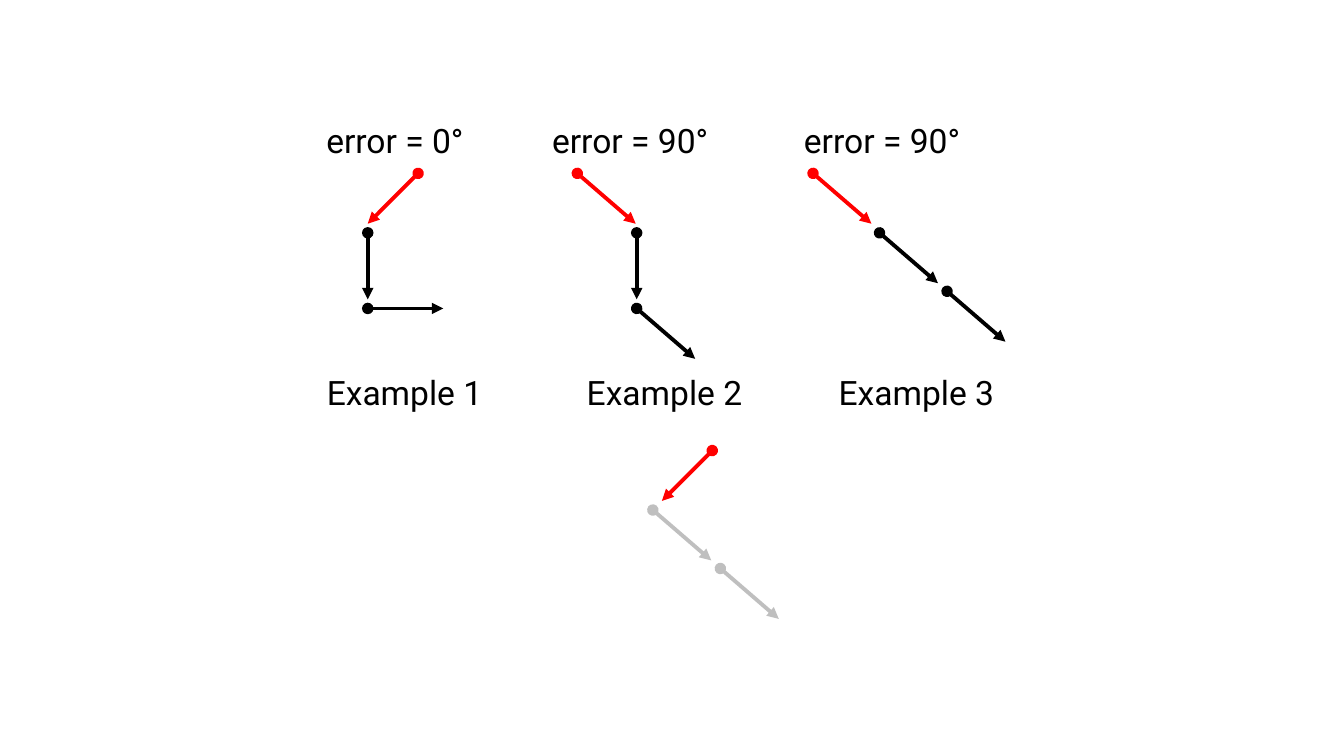
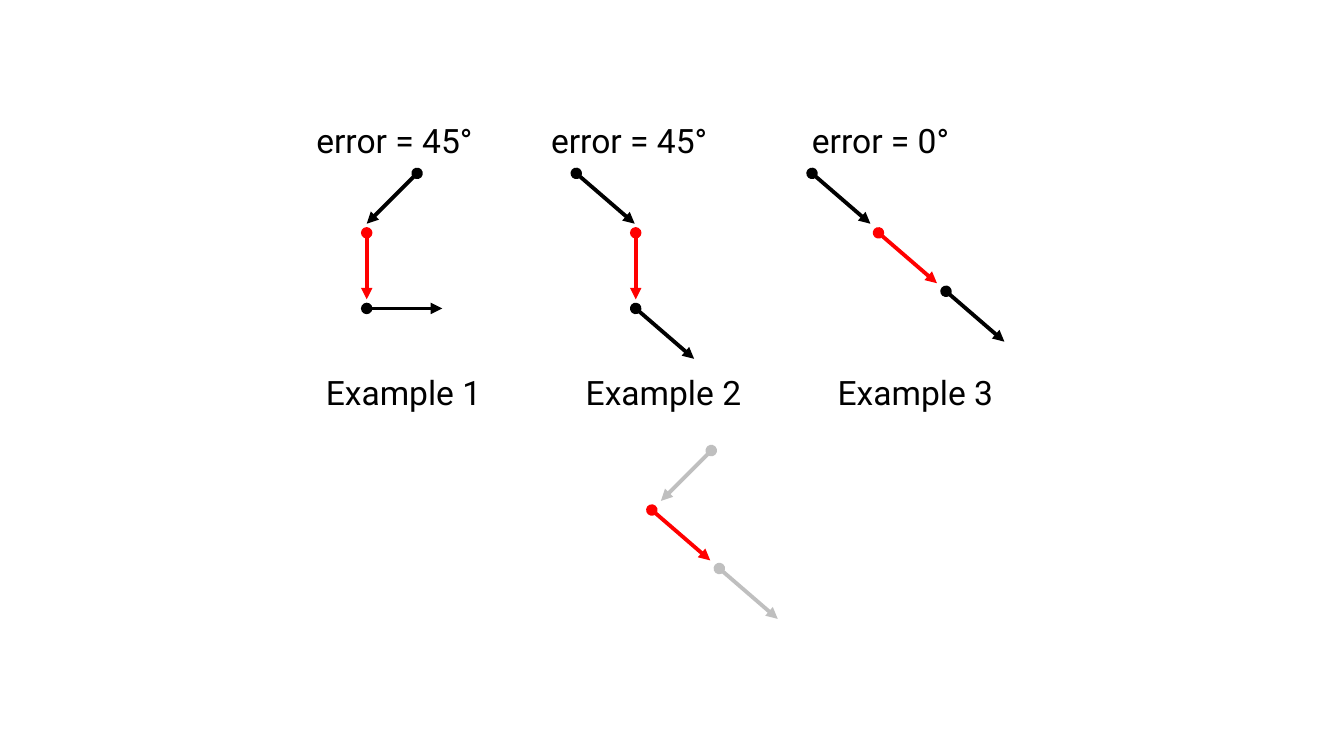
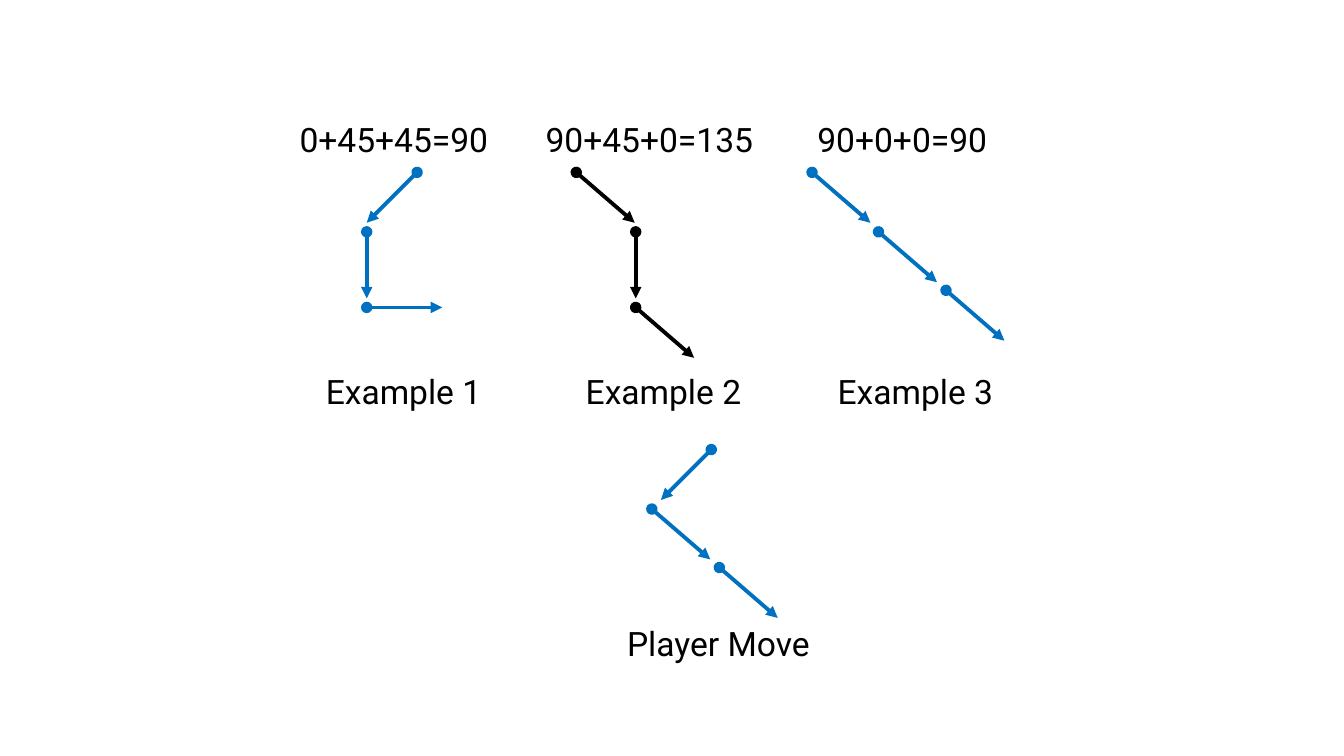
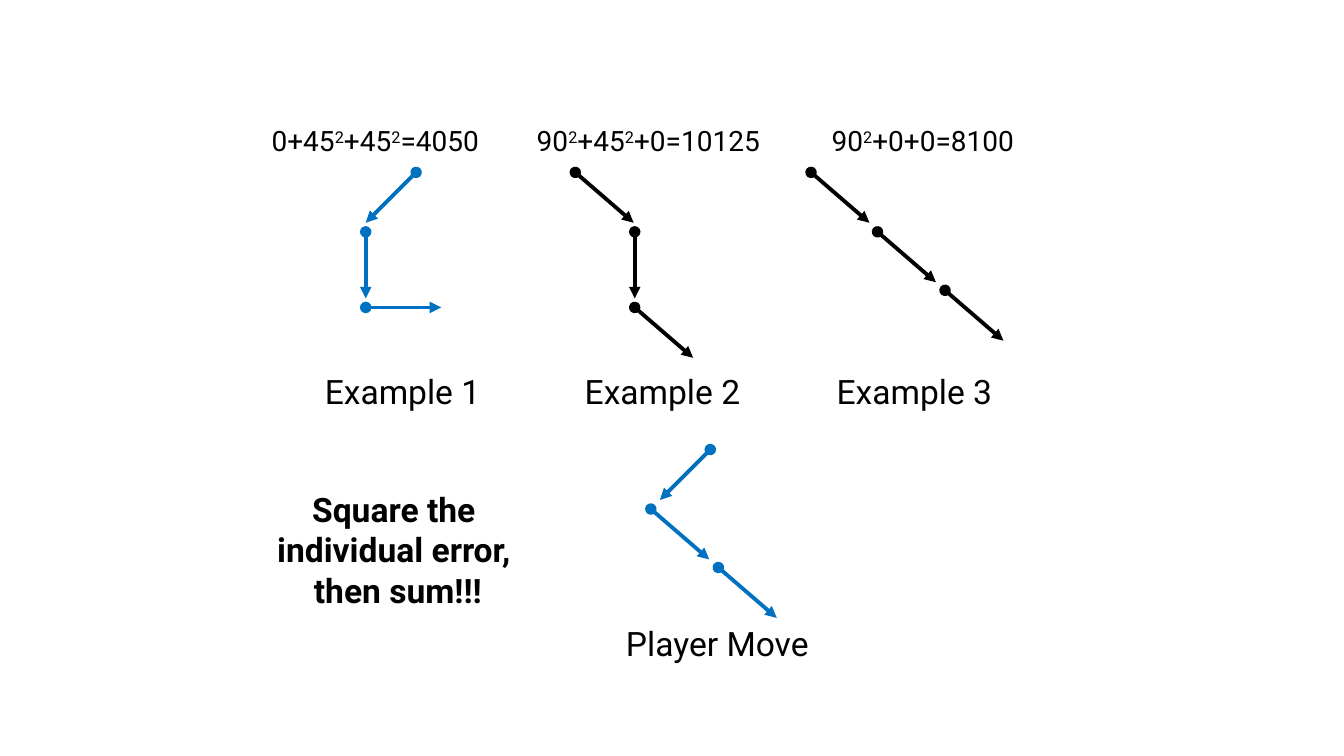
import pptx
import pptx.dml.color
import pptx.enum.shapes
import pptx.enum.text
import pptx.oxml.ns
import pptx.util
from lxml import etree

Inches = pptx.util.Inches
Pt = pptx.util.Pt
RGBColor = pptx.dml.color.RGBColor
qn = pptx.oxml.ns.qn

BLACK = RGBColor(0x00, 0x00, 0x00)
RED = RGBColor(0xFF, 0x00, 0x00)
BLUE = RGBColor(0x00, 0x70, 0xC0)
GRAY = RGBColor(0xBF, 0xBF, 0xBF)
FONT = "Roboto"

SOUTHWEST = (-0.5, 0.5)
SOUTH = (0, 0.66)
EAST = (0.75, 0)
SOUTHEAST = (0.58, 0.5)

EXAMPLE_1 = [((4.15, 1.72), SOUTHWEST), ((3.65, 2.31), SOUTH), ((3.65, 3.06), EAST)]
EXAMPLE_2 = [((5.73, 1.72), SOUTHEAST), ((6.32, 2.31), SOUTH), ((6.32, 3.06), SOUTHEAST)]
EXAMPLE_3 = [((8.07, 1.72), SOUTHEAST), ((8.73, 2.31), SOUTHEAST), ((9.4, 2.89), SOUTHEAST)]
PLAYER_MOVE = [((7.07, 4.47), SOUTHWEST), ((6.48, 5.06), SOUTHEAST), ((7.15, 5.64), SOUTHEAST)]
PATHS = [EXAMPLE_1, EXAMPLE_2, EXAMPLE_3, PLAYER_MOVE]
CAPTION_LEFTS = [3.11, 5.69, 8.19]

FIRST_RED = [RED, BLACK, BLACK]
SECOND_RED = [BLACK, RED, BLACK]
ALL_BLUE = [BLUE] * 3
ALL_BLACK = [BLACK] * 3

SLIDES = [
    {
        "offset": (0, 0),
        "colors": [FIRST_RED, FIRST_RED, FIRST_RED, [RED, GRAY, GRAY]],
        "errors": [("error = 0°", 3.07, 1.7), ("error = 90°", 5.31, 1.89), ("error = 90°", 7.81, 1.89)],
        "error_box": (1.14, 0.5, 24),
    },
    {
        "offset": (-0.01, 0),
        "colors": [SECOND_RED, SECOND_RED, SECOND_RED, [GRAY, RED, GRAY]],
        "errors": [("error = 45°", 2.97, 1.89), ("error = 45°", 5.3, 1.89), ("error = 0°", 7.89, 1.7)],
        "error_box": (1.14, 0.5, 24),
    },
    {
        "offset": (-0.01, -0.01),
        "colors": [ALL_BLUE, ALL_BLACK, ALL_BLUE, ALL_BLUE],
        "errors": [("0+45+45=90", 2.86, 2.1), ("90+45+0=135", 5.3, 2.29), ("90+0+0=90", 8, 1.91)],
        "error_box": (1.13, 0.5, 24),
        "player_caption": True,
    },
    {
        "offset": (-0.02, -0.01),
        "colors": [ALL_BLUE, ALL_BLACK, ALL_BLACK, ALL_BLUE],
        "errors": [
            ("0+45^2^+45^2^=4050", 2.58, 2.29),
            ("90^2^+45^2^+0=10125", 5.21, 2.45),
            ("90^2^+0+0=8100", 8.14, 2.04),
        ],
        "error_box": (1.18, 0.44, 20),
        "player_caption": True,
        "advice": ["Square the ", "individual error, ", "then sum!!!"],
    },
]


def add_arrow(slide, start, step, color):
    x, y = start
    connector = slide.shapes.add_connector(
        pptx.enum.shapes.MSO_CONNECTOR.STRAIGHT,
        Inches(x), Inches(y), Inches(x + step[0]), Inches(y + step[1]),
    )
    connector.line.color.rgb = color
    connector.line.width = Pt(2.75)
    line = connector.line._get_or_add_ln()
    etree.SubElement(line, qn("a:headEnd"), type="oval")
    etree.SubElement(line, qn("a:tailEnd"), type="triangle")
    etree.SubElement(connector._element.spPr, qn("a:effectLst"))


def add_label(slide, lines, left, top, width, height=0.5, size=24, bold=False):
    box = slide.shapes.add_textbox(Inches(left), Inches(top), Inches(width), Inches(height))
    frame = box.text_frame
    frame.word_wrap = False
    frame.auto_size = pptx.enum.text.MSO_AUTO_SIZE.SHAPE_TO_FIT_TEXT
    for number, text in enumerate(lines):
        paragraph = frame.add_paragraph() if number else frame.paragraphs[0]
        paragraph.alignment = pptx.enum.text.PP_ALIGN.CENTER
        for position, part in enumerate(text.split("^")):
            run = paragraph.add_run()
            run.text = part
            run.font.name = FONT
            run.font.size = Pt(size)
            run.font.bold = bold
            run.font.color.rgb = BLACK
            if position % 2:
                run._r.get_or_add_rPr().set("baseline", "30000")


presentation = pptx.Presentation()
presentation.slide_width = Inches(13.34)
presentation.slide_height = Inches(7.5)

for content in SLIDES:
    slide = presentation.slides.add_slide(presentation.slide_layouts[6])
    dx, dy = content["offset"]

    for arrows, colors in zip(PATHS, content["colors"]):
        for ((x, y), step), color in zip(arrows, colors):
            add_arrow(slide, (x + dx, y + dy), step, color)

    error_top, error_height, error_size = content["error_box"]
    for text, left, width in content["errors"]:
        add_label(slide, [text], left, error_top, width, error_height, error_size)

    for number, left in enumerate(CAPTION_LEFTS, start=1):
        add_label(slide, [f"Example {number}"], left + dx, 3.64 + dy, 1.81)

    if content.get("player_caption"):
        add_label(slide, ["Player Move"], 6.08 + dx, 6.14 + dy, 2.12)
    if "advice" in content:
        add_label(slide, content["advice"], 2.46, 4.8, 2.98, 1.3, bold=True)

presentation.save("out.pptx")
